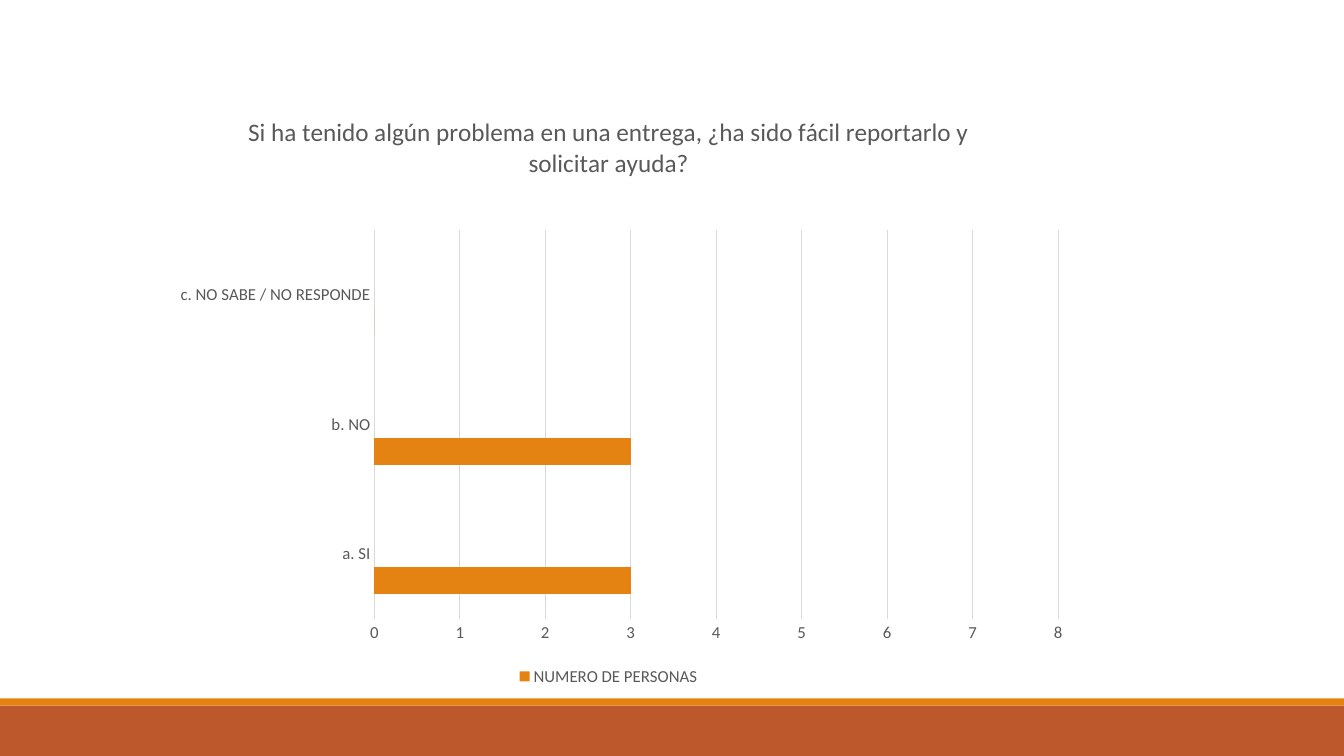
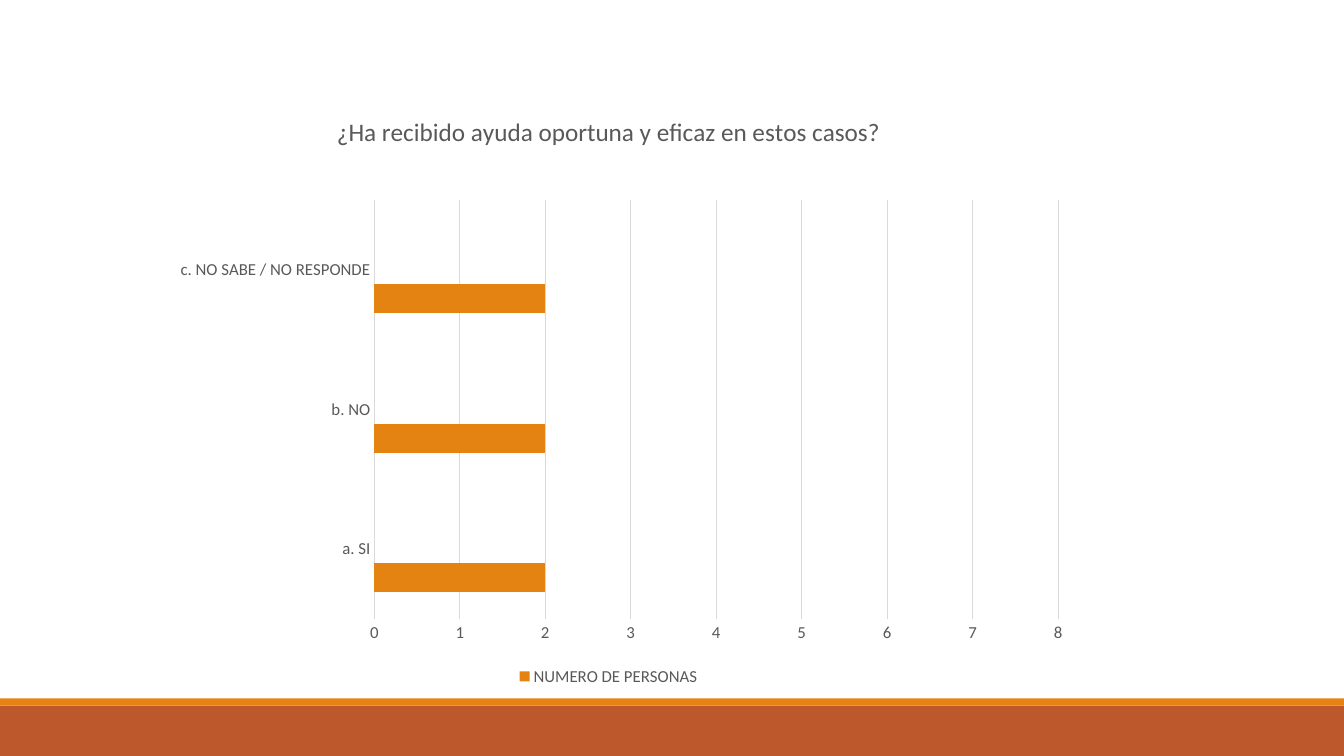
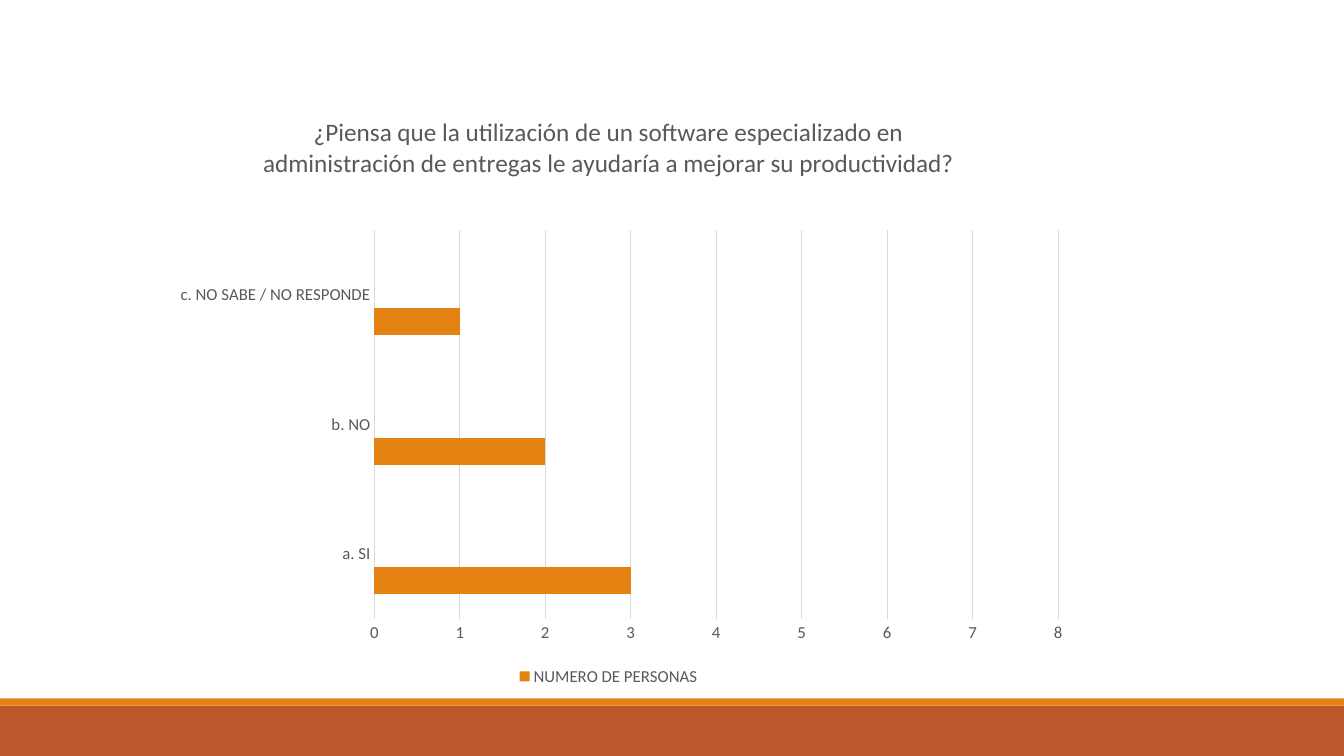
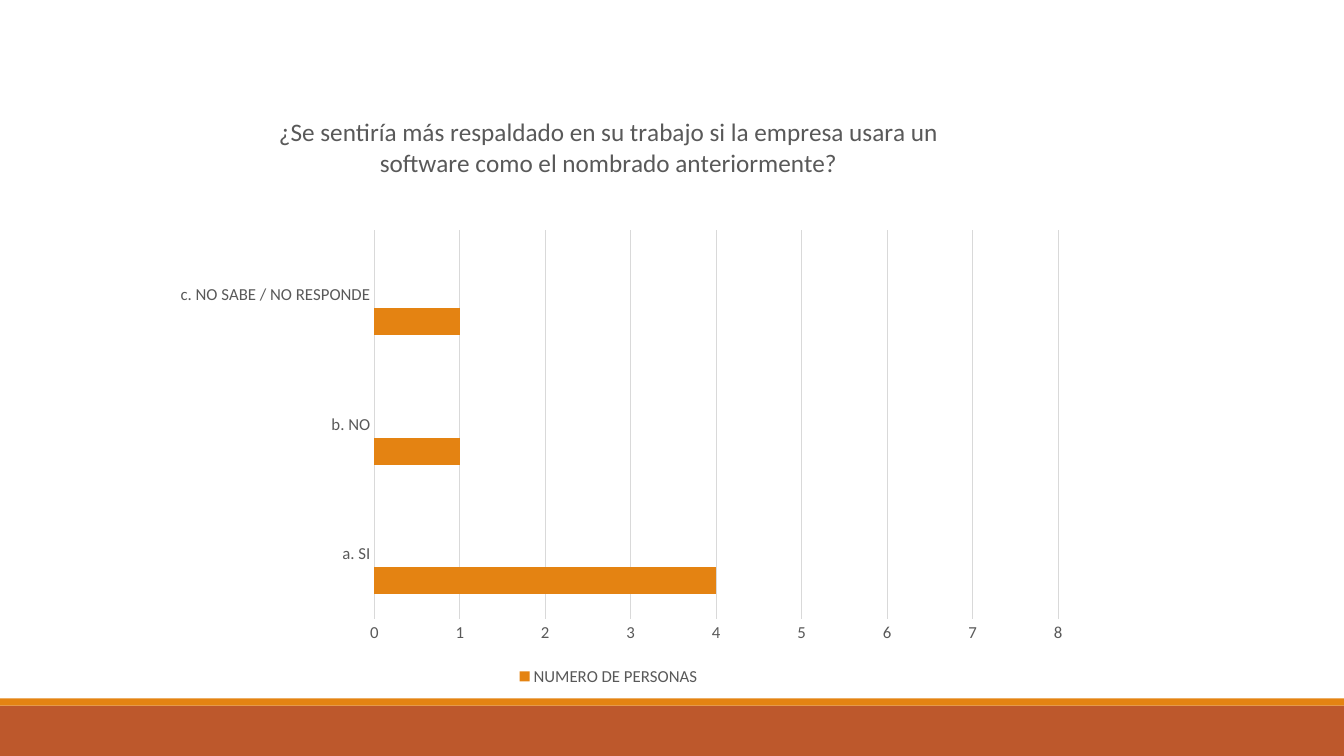
from lxml import etree
from pptx import Presentation
from pptx.chart import data
from pptx.dml.color import RGBColor
from pptx.enum import chart as ch, shapes
from pptx.oxml import ns
from pptx.util import Inches, Pt

# Content: question, lines it fills, votes for each answer
LABELS = ["a. SI", "b. NO", "c. NO SABE / NO RESPONDE"]
SERIES = "NUMERO DE PERSONAS"
SPARE = ["Series 2", "Columna2"]  # empty series that keep the bars thin
POLLS = [
    ("Si ha tenido algún problema en una entrega, "
     "¿ha sido fácil reportarlo y solicitar ayuda?", 2, (3, 3, 0)),
    ("¿Ha recibido ayuda oportuna y eficaz en estos casos?", 1, (2, 2, 2)),
    ("¿Piensa que la utilización de un software especializado en "
     "administración de entregas le ayudaría a mejorar su productividad?",
     2, (3, 2, 1)),
    ("¿Se sentiría más respaldado en su trabajo si la empresa usara un "
     "software como el nombrado anteriormente?", 2, (4, 1, 1)),
]

# Shared style
FONT = "Calibri"
ORANGE = RGBColor(0xE4, 0x83, 0x12)
RUST = RGBColor(0xBD, 0x58, 0x2C)
BROWN = RGBColor(0x86, 0x56, 0x40)
GREY = RGBColor(0x59, 0x59, 0x59)
PALE = RGBColor(0xD9, 0xD9, 0xD9)
WIDE, HIGH = 13.33, 7.5
BANDS = [(7, 0.5, RUST), (6.93, 0.07, ORANGE)]
CHART = [Inches(n) for n in (1.39, 0.92, 9.29, 5.93)]
LEFT, SPAN, BASE = 0.25, 0.73, 0.88  # plot area, as shares of the chart
TOPS = {1: 0.18, 2: 0.23}            # plot top by lines in the title


def style(font, size=12, color=GREY):
    font.name, font.size, font.bold = FONT, Pt(size), False
    font.color.rgb = color


def write(frame, words, **look):
    frame.text = words
    style(frame.paragraphs[0].runs[0].font, **look)


def rule(line):
    line.color.rgb, line.width = PALE, Pt(0.75)


def node(up, tag, **attrs):
    return etree.SubElement(up, ns.qn("c:" + tag), attrs)


def place(chart, top):
    """Fix the inner plot area within the chart."""
    area = chart.element.find(".//" + ns.qn("c:plotArea"))
    old = area.find(ns.qn("c:layout"))
    if old is not None:
        area.remove(old)
    box = etree.Element(ns.qn("c:layout"))
    area.insert(0, box)
    spot = node(box, "manualLayout")
    for tag, val in [("layoutTarget", "inner"), ("xMode", "edge"),
                     ("yMode", "edge"), ("x", LEFT), ("y", top),
                     ("w", SPAN), ("h", round(BASE - top, 2))]:
        node(spot, tag, val=str(val))


def trim(chart):
    """Drop the spare series; a bar legend counts from the last series."""
    legend = chart.element.find(".//" + ns.qn("c:legend"))
    for i in range(len(SPARE)):
        entry = etree.Element(ns.qn("c:legendEntry"))
        node(entry, "idx", val=str(i))
        node(entry, "delete", val="1")
        legend.insert(1 + i, entry)


def draw(slide, title, lines, votes):
    table = data.CategoryChartData()
    table.categories = LABELS
    table.add_series(SERIES, votes)
    for name in SPARE:
        table.add_series(name, [None] * len(LABELS))
    chart = slide.shapes.add_chart(
        ch.XL_CHART_TYPE.BAR_CLUSTERED, *CHART, table).chart
    style(chart.font)
    write(chart.chart_title.text_frame, title, size=18)
    chart.chart_title.include_in_layout = False

    # Bars
    plot = chart.plots[0]
    plot.gap_width, plot.vary_by_categories = 182, False
    for bar, color in zip(plot.series, (ORANGE, RUST, BROWN)):
        bar.format.fill.solid()
        bar.format.fill.fore_color.rgb = color

    # Axes
    cat, val = chart.category_axis, chart.value_axis
    for axis in (cat, val):
        axis.major_tick_mark = axis.minor_tick_mark = ch.XL_TICK_MARK.NONE
        style(axis.tick_labels.font)
    rule(cat.format.line)
    val.format.line.fill.background()
    val.minimum_scale, val.maximum_scale, val.major_unit = 0, 8, 1
    rule(val.major_gridlines.format.line)

    # Legend and plot area
    chart.has_legend = True
    chart.legend.position = ch.XL_LEGEND_POSITION.BOTTOM
    chart.legend.include_in_layout = False
    style(chart.legend.font)
    trim(chart)
    place(chart, TOPS[lines])


def band(slide, layout):
    """Make the bottom bands and move them to the shared layout."""
    for top, tall, color in BANDS:
        bar = slide.shapes.add_shape(
            shapes.MSO_SHAPE.RECTANGLE, 0, Inches(top),
            Inches(WIDE), Inches(tall))
        bar.shadow.inherit = False
        bar.fill.solid()
        bar.fill.fore_color.rgb = color
        bar.line.fill.background()
        layout.shapes.element.append(bar.element)


def main():
    deck = Presentation()
    deck.slide_width, deck.slide_height = Inches(WIDE), Inches(HIGH)
    blank = deck.slide_layouts.get_by_name("Blank")
    for i, poll in enumerate(POLLS):
        slide = deck.slides.add_slide(blank)
        if i == 0:
            band(slide, blank)
        draw(slide, *poll)
    deck.save("out.pptx")


if __name__ == "__main__":
    main()
